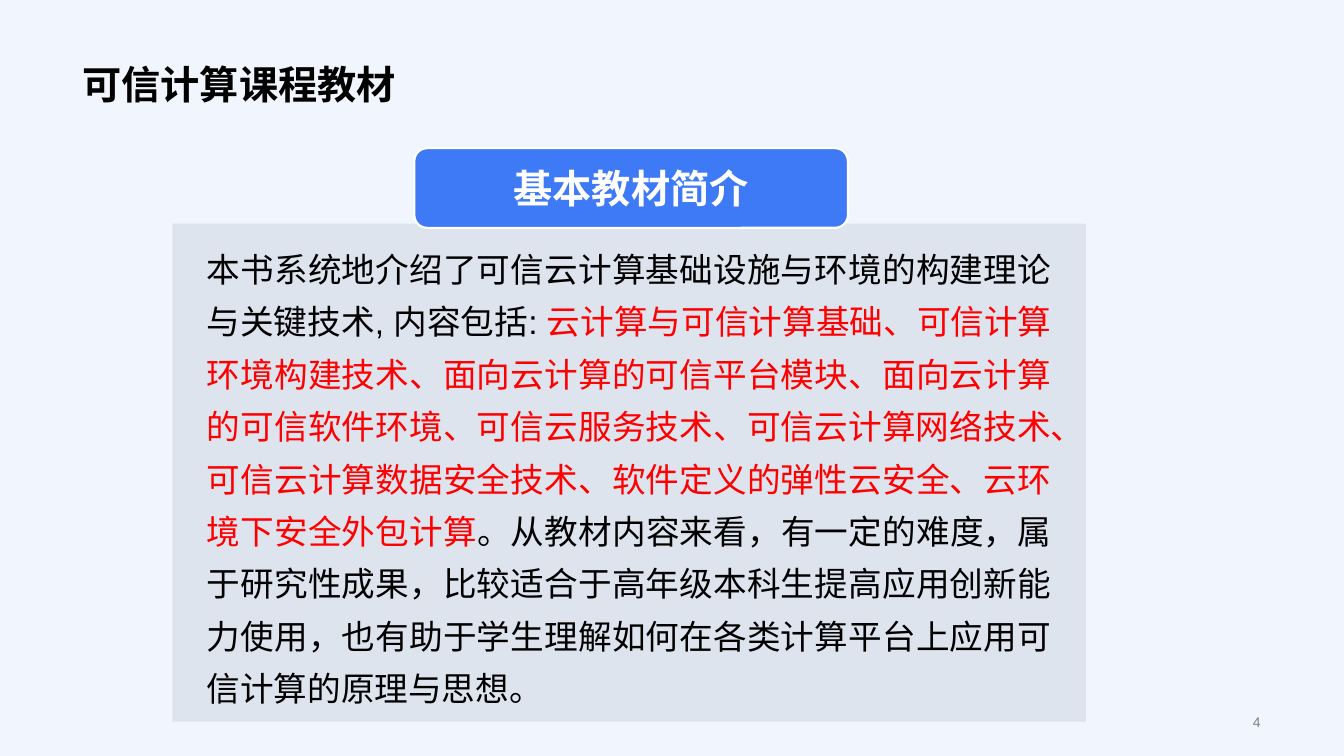
from lxml.etree import SubElement
from pptx import Presentation
from pptx.dml.color import RGBColor
from pptx.enum.lang import MSO_LANGUAGE_ID
from pptx.enum.shapes import MSO_SHAPE
from pptx.enum.text import MSO_ANCHOR, MSO_AUTO_SIZE, PP_ALIGN
from pptx.oxml.ns import qn
from pptx.util import Inches, Pt


def paint(color_format, hex_color):
    color_format.rgb = RGBColor.from_string(hex_color)


def write(shape, pieces, size, bold=False, align=PP_ALIGN.LEFT,
          anchor=MSO_ANCHOR.TOP, spacing=1.0):
    """Fill a shape with one paragraph made of (text, colour) pieces."""
    frame = shape.text_frame
    frame.word_wrap = True
    frame.vertical_anchor = anchor
    paragraph = frame.paragraphs[0]
    paragraph.alignment = align
    paragraph.line_spacing = spacing
    for text, color in pieces:
        run = paragraph.add_run()
        run.text = text
        run.font.name = "Arial"
        run.font.size = Pt(size)
        run.font.bold = bold
        run.font.language_id = MSO_LANGUAGE_ID.SIMPLIFIED_CHINESE
        paint(run.font.color, color)


deck = Presentation()
deck.slide_width, deck.slide_height = Inches(13.33), Inches(7.5)
slide = deck.slides.add_slide(deck.slide_layouts[6])
shapes = slide.shapes

# Background
slide.background.fill.solid()
paint(slide.background.fill.fore_color, "F0F5FE")

# Title and page number
title = shapes.add_textbox(Inches(0.72), Inches(0), Inches(11.88), Inches(1.12))
write(title, [("可信计算课程教材", "000000")], 28, bold=True,
      anchor=MSO_ANCHOR.BOTTOM, spacing=0.9)
page_number = shapes.add_textbox(Inches(9.69), Inches(7.04), Inches(2.91), Inches(0.24))
write(page_number, [("4", "808080")], 10, align=PP_ALIGN.RIGHT, anchor=MSO_ANCHOR.MIDDLE)

# Translucent panel behind the introduction
panel = shapes.add_shape(MSO_SHAPE.ROUNDED_RECTANGLE,
                         Inches(1.71), Inches(2.22), Inches(9.06), Inches(4.94))
panel.adjustments[0] = 0
panel.shadow.inherit = False
panel.fill.solid()
paint(panel.fill.fore_color, "778495")
panel_color = panel.fill._xPr.find(qn("a:solidFill"))[0]
SubElement(panel_color, qn("a:alpha"), val="15000")
panel.line.fill.background()

# Introduction, with the topics of the book in red
introduction = shapes.add_textbox(Inches(1.93), Inches(2.23), Inches(8.62), Inches(5.43))
frame = introduction.text_frame
frame.margin_left = frame.margin_right = Inches(0.12)
frame.margin_top = frame.margin_bottom = Inches(0.12)
frame.auto_size = MSO_AUTO_SIZE.SHAPE_TO_FIT_TEXT
write(introduction, [
    ("本书系统地介绍了可信云计算基础设施与环境的构建理论与关键技术, 内容包括: ", "000000"),
    ("云计算与可信计算基础、可信计算环境构建技术、面向云计算的可信平台模块、"
     "面向云计算的可信软件环境、可信云服务技术、可信云计算网络技术、"
     "可信云计算数据安全技术、软件定义的弹性云安全、云环境下安全外包计算", "FF0000"),
    ("。从教材内容来看，有一定的难度，属于研究性成果，比较适合于高年级本科生提高应用创新能力使用，"
     "也有助于学生理解如何在各类计算平台上应用可信计算的原理与思想。", "000000"),
], 24, align=PP_ALIGN.JUSTIFY, spacing=1.3)

# Heading of the panel
heading = shapes.add_shape(MSO_SHAPE.ROUNDED_RECTANGLE,
                           Inches(4.11), Inches(1.47), Inches(4.3), Inches(0.79))
heading.adjustments[0] = 0.16
heading.shadow.inherit = False
heading.fill.solid()
paint(heading.fill.fore_color, "3E7AF6")
paint(heading.line.color, "FFFFFF")
heading.line.width = Pt(1.5)
write(heading, [("基本教材简介", "FFFFFF")], 28, bold=True,
      align=PP_ALIGN.CENTER, anchor=MSO_ANCHOR.MIDDLE)

deck.save("out.pptx")
